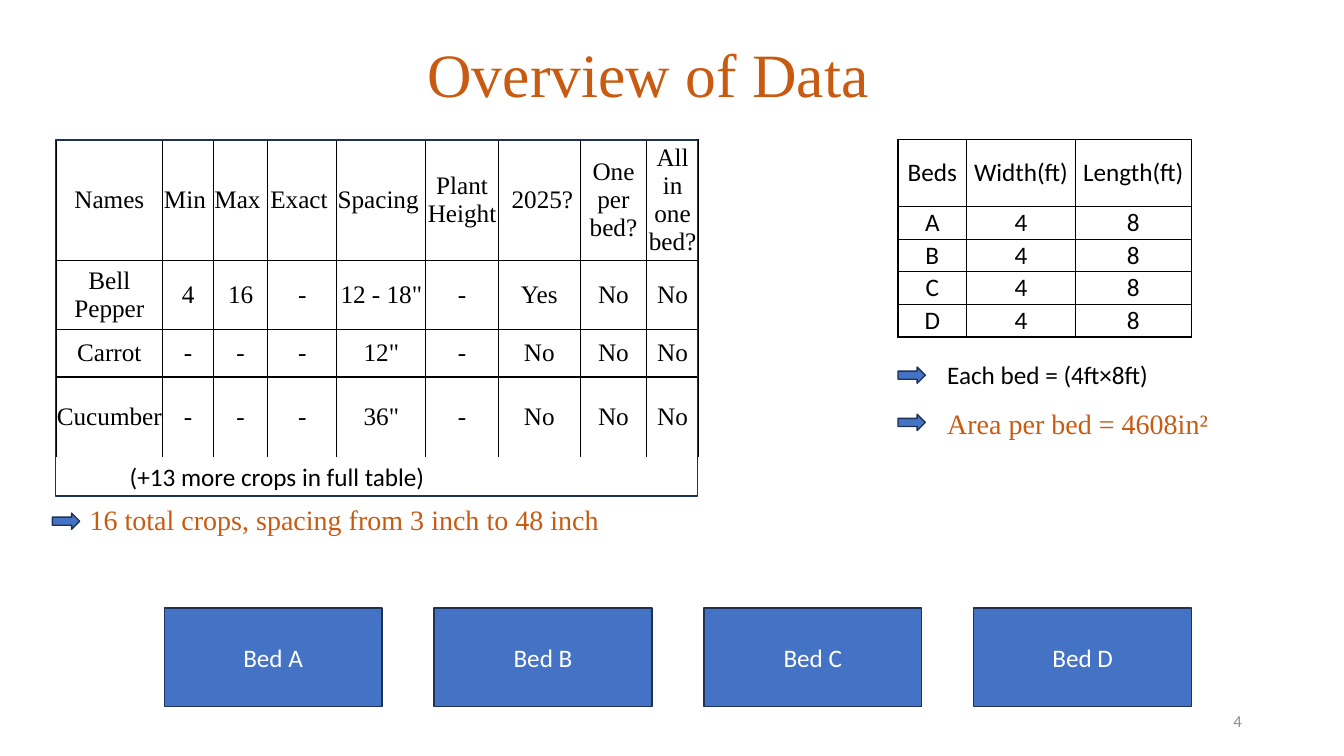
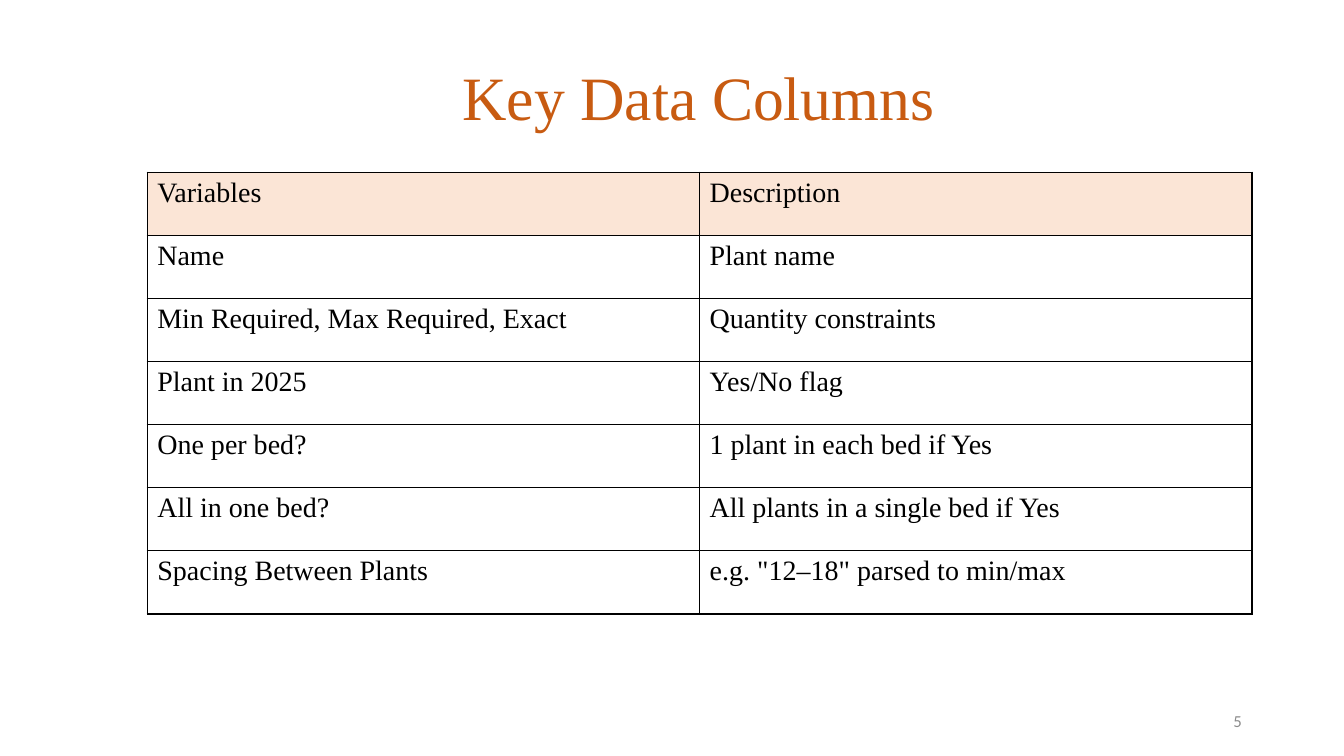
from lxml.etree import SubElement
from pptx import Presentation
from pptx.dml.color import RGBColor
from pptx.enum.shapes import MSO_SHAPE as Shape
from pptx.enum.text import MSO_ANCHOR as Anchor, MSO_AUTO_SIZE as AutoSize, PP_ALIGN as Align
from pptx.oxml.ns import qn
from pptx.util import Cm, Pt

ORANGE = RGBColor(0xC8, 0x5B, 0x11)
PEACH = RGBColor(0xFB, 0xE5, 0xD6)
BLUE = RGBColor(0x44, 0x72, 0xC4)
NAVY = RGBColor(0x1E, 0x32, 0x56)
GREY = RGBColor(0x8C, 0x8C, 0x8C)
BLACK = RGBColor(0x00, 0x00, 0x00)
WHITE = RGBColor(0xFF, 0xFF, 0xFF)
SERIF, SANS = "Times New Roman", "Calibri"


def write_text(holder, text, font=SANS, size=18, color=BLACK, align=Align.LEFT, anchor=Anchor.TOP):
    """Fill a shape or a table cell with one formatted paragraph."""
    frame = holder.text_frame
    frame.word_wrap = True
    # A cell anchors its own text, a shape does it through its frame
    target = holder if hasattr(holder, "vertical_anchor") else frame
    target.vertical_anchor = anchor
    para = frame.paragraphs[0]
    para.alignment = align
    span = para.add_run()
    span.text = text
    span.font.name = font
    span.font.size = Pt(size)
    span.font.color.rgb = color


def add_grid(page, left, top, widths, heights, rows, header_fill=None, tight=True, closed=True, **text_format):
    """Add a table with thin black rules; an open one has no rule at the bottom."""
    frame = page.shapes.add_table(len(rows), len(widths), Cm(left), Cm(top),
                                  Cm(sum(widths)), Cm(sum(heights)))
    table = frame.table
    table.first_row = table.horz_banding = False
    for column, width in zip(table.columns, widths):
        column.width = Cm(width)
    for index, (row, height, values) in enumerate(zip(table.rows, heights, rows)):
        row.height = Cm(height)
        last = index == len(rows) - 1
        for cell, value in zip(row.cells, values):
            write_text(cell, value, **text_format)
            if tight:
                cell.margin_left = cell.margin_right = cell.margin_top = cell.margin_bottom = 0
            properties = cell._tc.get_or_add_tcPr()
            for side in ("lnL", "lnR", "lnT", "lnB"):
                rule = SubElement(properties, qn(f"a:{side}"), w=str(Pt(1)))
                if side == "lnB" and last and not closed:
                    SubElement(rule, qn("a:noFill"))
                else:
                    SubElement(SubElement(rule, qn("a:solidFill")), qn("a:srgbClr"), val=str(BLACK))
            if index == 0 and header_fill is not None:
                cell.fill.solid()
                cell.fill.fore_color.rgb = header_fill
            else:
                cell.fill.background()


deck = Presentation()
deck.slide_width, deck.slide_height = Cm(33.87), Cm(19.05)

# Pages with their titles and numbers
pages = []
for number, title, left, top in [(4, "Overview of Data", 10.52, 0.79),
                                 (5, "Key Data Columns", 11.4, 1.35)]:
    page = deck.slides.add_slide(deck.slide_layouts[5])
    heading = page.shapes.title
    heading.left, heading.top, heading.width, heading.height = Cm(left), Cm(top), Cm(12.8), Cm(2.13)
    write_text(heading, title, font=SERIF, size=44, color=ORANGE)
    heading.text_frame.auto_size = AutoSize.NONE
    box = page.shapes.add_textbox(Cm(23.93), Cm(17.65), Cm(7.62), Cm(1.02))
    write_text(box, str(number), size=12, color=GREY, align=Align.RIGHT, anchor=Anchor.MIDDLE)
    pages.append(page)
overview, columns_page = pages
centred = dict(align=Align.CENTER, anchor=Anchor.MIDDLE)

# Overview: crop table
crops = [
    ["Names", "Min ", "Max ", "Exact ", "Spacing ", "Plant Height", " 2025?", "One per bed?", "All in one bed?"],
    ["Bell Pepper", "4", "16", "-", '12 - 18"', "-", "Yes", "No", "No"],
    ["Carrot", "-", "-", "-", '12"', "-", "No", "No", "No"],
    ["Cucumber", "-", "-", "-", '36"', "-", "No", "No", "No"],
]
add_grid(overview, 1.42, 3.51, [2.67, 1.3, 1.35, 1.75, 2.24, 1.83, 2.06, 1.68, 1.3],
         [3.02, 1.75, 1.19, 2.01], crops, closed=False, font=SERIF, **centred)
box = overview.shapes.add_textbox(Cm(3.02), Cm(11.51), Cm(12.24), Cm(1.02))
write_text(box, "(+13 more crops in full table)")

# Overview: bed sizes
beds = "ABCD"
sizes = [["Beds", "Width(ft)", "Length(ft)"]] + [[bed, "4", "8"] for bed in beds]
add_grid(overview, 22.63, 3.51, [1.73, 2.74, 2.92], [1.7] + [0.82] * len(beds), sizes, **centred)

# Overview: shapes as (kind, left, top, width, height, fill, label)
shapes = [(Shape.RECTANGLE, 1.4, 3.53, 16.18, 8.97, None, "")]
for index, bed in enumerate(beds):
    shapes.append((Shape.RECTANGLE, 4.14 + 6.8 * index, 15.32, 5.49, 2.49, BLUE, f"Bed {bed}"))
for left, top in [(22.63, 9.25), (22.63, 10.44), (1.32, 12.93)]:
    shapes.append((Shape.RIGHT_ARROW, left, top, 0.69, 0.41, BLUE, ""))
for kind, left, top, width, height, fill, label in shapes:
    shape = overview.shapes.add_shape(kind, Cm(left), Cm(top), Cm(width), Cm(height))
    shape.shadow.inherit = False
    shape.line.color.rgb = NAVY
    shape.line.width = Pt(1)
    if fill is None:
        shape.fill.background()
    else:
        shape.fill.solid()
        shape.fill.fore_color.rgb = fill
    if label:
        write_text(shape, label, color=WHITE, **centred)

# Overview: notes beside the arrows
accent = dict(font=SERIF, size=20, color=ORANGE)
for left, top, width, text, text_format in [
    (23.62, 8.92, 7.62, "Each bed = (4ft×8ft)", {}),
    (23.62, 10.11, 7.62, "Area per bed = 4608in²", accent),
    (2.01, 12.55, 13.94, "16 total crops, spacing from 3 inch to 48 inch", accent),
]:
    box = overview.shapes.add_textbox(Cm(left), Cm(top), Cm(width), Cm(1.1))
    write_text(box, text, **text_format)

# Key columns: description table
variables = [
    ["Variables", "Description"],
    ["Name", "Plant name"],
    ["Min Required, Max Required, Exact", "Quantity constraints"],
    ["Plant in 2025", "Yes/No flag"],
    ["One per bed?", "1 plant in each bed if Yes"],
    ["All in one bed?", "All plants in a single bed if Yes"],
    ["Spacing Between Plants", 'e.g. "12–18" parsed to min/max'],
]
add_grid(columns_page, 3.71, 4.34, [13.92] * 2, [1.59] * len(variables), variables,
         header_fill=PEACH, tight=False, font=SERIF, size=20)

deck.save("out.pptx")
